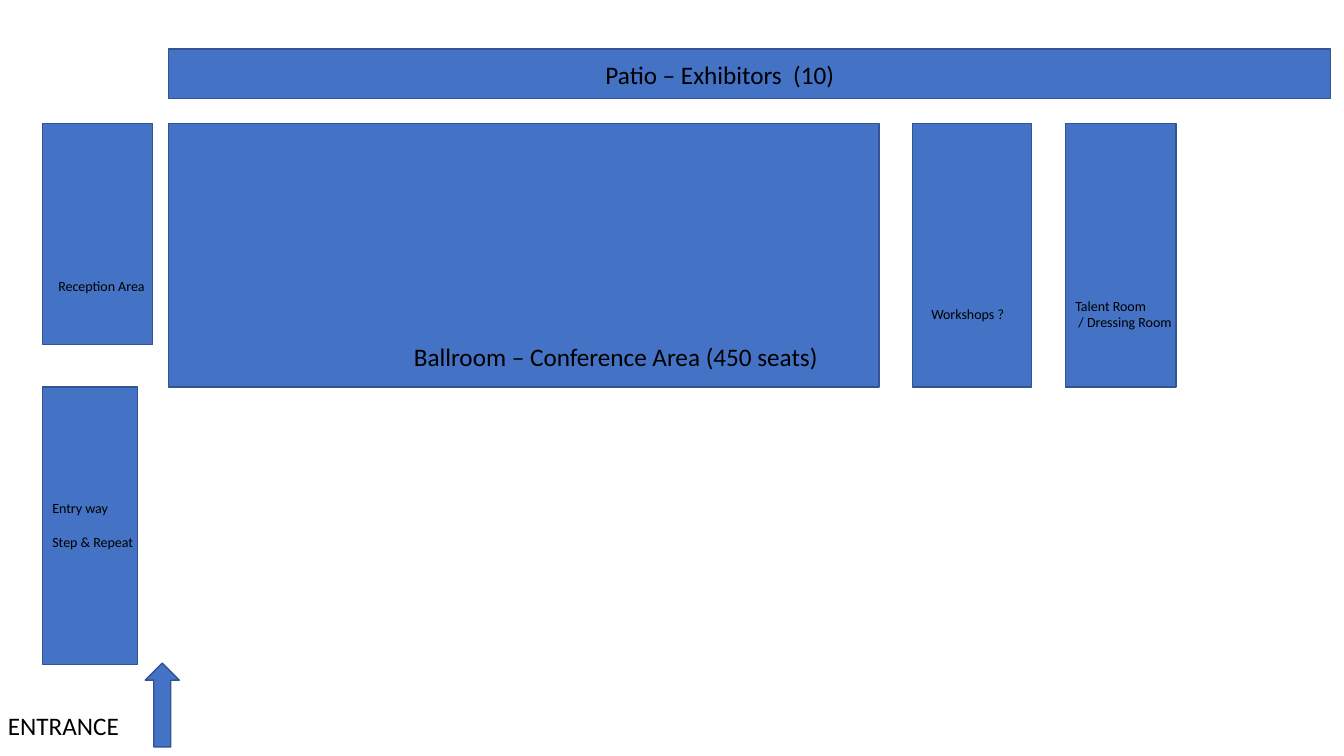
from collections import namedtuple
from dataclasses import dataclass

from pptx import Presentation
from pptx import util as u
from pptx.dml.color import RGBColor
from pptx.enum import shapes, text


@dataclass(frozen=True)
class Theme:
    font: str = "Calibri"
    fill: RGBColor = RGBColor(0x44, 0x72, 0xC4)
    outline: RGBColor = RGBColor(0x32, 0x54, 0x91)
    ink: RGBColor = RGBColor(0, 0, 0)
    large: u.Pt = u.Pt(18)
    small: u.Pt = u.Pt(10)
    outline_width: u.Pt = u.Pt(1)


THEME = Theme()
Box = namedtuple("Box", "left top width height")


def within(parent, part):
    """Turn a box given relative to its parent into a slide box."""
    return Box(parent.left + part.left, parent.top + part.top, part.width, part.height)


def add_block(slide, kind, box):
    shape = slide.shapes.add_shape(kind, *map(u.Cm, box))
    shape.shadow.inherit = False
    shape.fill.solid()
    shape.fill.fore_color.rgb = THEME.fill
    shape.line.color.rgb = THEME.outline
    shape.line.width = THEME.outline_width


def add_label(slide, box, lines, size, gap=0):
    frame = slide.shapes.add_textbox(*map(u.Cm, box)).text_frame
    frame.word_wrap = True
    frame.auto_size = text.MSO_AUTO_SIZE.NONE
    frame.margin_right = 0
    for index, line in enumerate(lines):
        paragraph = frame.add_paragraph() if index else frame.paragraphs[0]
        paragraph.text = line
        paragraph.font.name = THEME.font
        paragraph.font.size = size
        paragraph.font.color.rgb = THEME.ink
        if index:
            paragraph.space_before = u.Pt(gap)


def add_room(slide, box, label_box, lines, size, gap=0):
    add_block(slide, shapes.MSO_SHAPE.RECTANGLE, box)
    add_label(slide, within(box, label_box), lines, size, gap)


def add_entrance(slide, box):
    add_label(slide, within(box, Box(0, 1.07, 3.48, 1.02)), ["ENTRANCE"], THEME.large)
    add_block(slide, shapes.MSO_SHAPE.UP_ARROW, within(box, Box(3.71, 0, 0.86, box.height)))


def add_floor_plan(slide, box):
    hall_left, hall_top, hall_height = 4.24, 3.12, 6.63
    west_left = 1.07
    entry_top = hall_top + hall_height

    # Each room: box on the plan, label box in the room, lines, size, line gap
    rooms = [
        # Entry side
        (Box(west_left, entry_top, 2.39, 6.99), Box(0, 2.72, 2.59, 1.55),
         ["Entry way", "Step & Repeat"], THEME.small, 12.2),
        (Box(west_left, hall_top, 2.77, 5.56), Box(0.15, 3.76, 2.82, 0.69),
         ["Reception Area"], THEME.small),
        # Main hall and side rooms
        (Box(hall_left, hall_top, 17.91, hall_height), Box(5.94, 5.36, 11.1, 1.02),
         ["Ballroom – Conference Area (450 seats)"], THEME.large),
        (Box(22.99, hall_top, 3, hall_height), Box(0.23, 4.45, 2.46, 0.69),
         ["Workshops ?"], THEME.small),
        (Box(26.85, hall_top, 2.79, hall_height), Box(0, 4.24, 2.97, 1.12),
         ["Talent Room", " / Dressing Room"], THEME.small),
        # Patio
        (Box(hall_left, 1.24, 29.29, 1.24), Box(10.77, 0.13, 6.4, 1.02),
         ["Patio – Exhibitors  (10)"], THEME.large),
    ]
    for room_box, *label in rooms:
        add_room(slide, within(box, room_box), *label)

    # Way in
    add_entrance(slide, within(box, Box(-0.05, 16.71, 4.57, 2.11)))


presentation = Presentation()
plan = Box(0, 0, 33.87, 19.05)
presentation.slide_width = u.Cm(plan.width)
presentation.slide_height = u.Cm(plan.height)
slide = presentation.slides.add_slide(presentation.slide_layouts[6])
add_floor_plan(slide, plan)
presentation.save("out.pptx")
